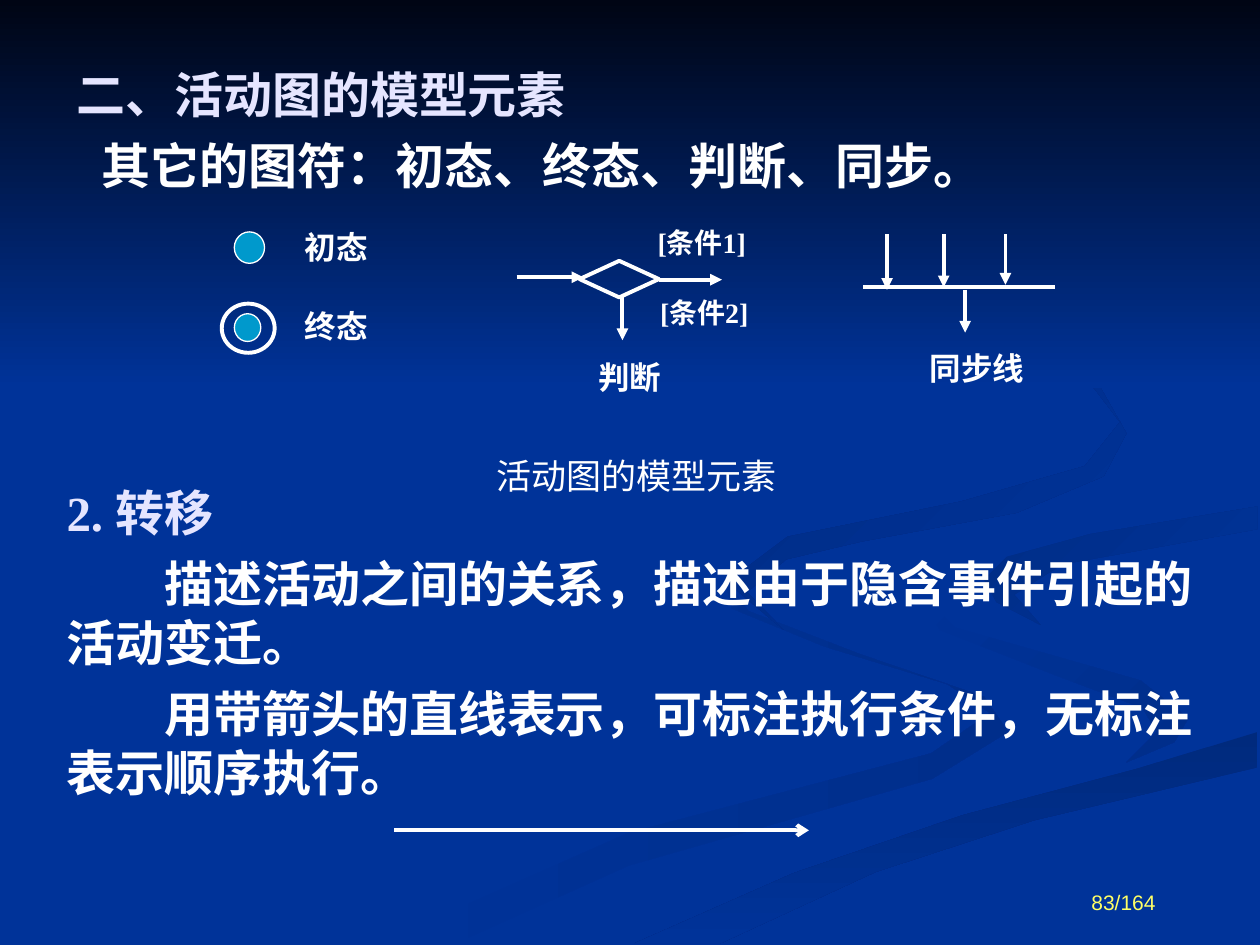
from lxml.etree import SubElement
from pptx import Presentation
from pptx.dml.color import RGBColor
from pptx.enum.shapes import MSO_CONNECTOR, MSO_SHAPE
from pptx.enum.text import MSO_ANCHOR, PP_ALIGN
from pptx.oxml.ns import qn
from pptx.util import Inches, Pt

COLORS = {
    "background": "003399", "night": "000514", "white": "FFFFFF",
    "lavender": "E5E5FF", "cyan": "0099CC", "yellow": "FFFF66",
    "shade_a": "002E8B", "shade_b": "002A7D", "shade_c": "002D86", "shade_d": "002B82",
}

SWOOSHES = [
    ("background", "shade_a", 0, [
        (7.81, 5.53), (6.82, 5.19), (5.94, 4.85), (5.75, 4.59), (5.81, 4.83), (6.54, 5.13),
        (7.52, 5.43), (7.86, 5.66), (7.39, 5.98), (4.99, 6.61), (3, 7.49), (3.61, 7.49),
        (4.99, 6.87), (7.4, 6.18), (8, 5.81)]),
    ("background", "shade_a", 45, [
        (9.43, 5.7), (9.05, 5.4), (7.58, 4.98), (7.24, 4.64), (7.46, 5), (8.38, 5.36),
        (9.07, 5.62), (9.18, 5.81), (8.94, 6.05), (9.32, 5.89)]),
    ("shade_b", "background", 90, [
        (5.03, 7.49), (5.71, 7.49), (6.95, 6.92), (8.21, 6.51), (9.98, 6.09), (9.98, 5.81),
        (9.03, 6.1), (7.64, 6.47), (6.3, 6.93)]),
    ("shade_c", "background", 45, [
        (7.81, 4.6), (7.91, 4.78), (8.26, 4.96), (8.05, 4.72), (8.43, 4.48), (9.98, 4.2),
        (9.98, 4.02), (8.65, 4.24), (7.99, 4.42)]),
    ("shade_d", "background", 45, [
        (6.83, 4.3), (8.07, 4.07), (8.76, 3.78), (8.94, 3.44), (8.64, 2.91), (7.62, 2.33),
        (8.46, 2.79), (8.89, 3.35), (8.61, 3.7), (7.63, 3.98), (6.25, 4.26), (5.77, 4.62),
        (6.22, 5), (5.93, 4.7), (6.24, 4.44)]),
    ("night", "background", 90, [(0, 0), (0, 3.08), (10, 3.08), (10, 0)]),
]

SYMBOLS = [
    (MSO_SHAPE.OVAL, (1.86, 1.84, 0.24, 0.25), "cyan", 0.75),
    (MSO_SHAPE.OVAL, (1.76, 2.41, 0.42, 0.39), None, 2.25),
    (MSO_SHAPE.OVAL, (1.86, 2.49, 0.21, 0.22), "cyan", 0.75),
    (MSO_SHAPE.DIAMOND, (4.6, 2.07, 0.63, 0.29), None, 2.25),
]

LINES = [
    ((4.1, 2.2), (4.63, 2.2), "triangle"),
    ((5.23, 2.22), (5.73, 2.22), "triangle"),
    ((4.94, 2.34), (4.94, 2.7), "triangle"),
    ((6.85, 2.28), (8.37, 2.28), None),
    ((7.04, 1.86), (7.04, 2.3), "triangle"),
    ((7.49, 1.86), (7.49, 2.28), "triangle"),
    ((7.98, 1.86), (7.98, 2.26), "triangle"),
    ((7.66, 2.3), (7.66, 2.64), "triangle"),
    ((3.13, 6.59), (6.42, 6.59), "arrow"),
]

LEFT, CENTER, RIGHT = PP_ALIGN.LEFT, PP_ALIGN.CENTER, PP_ALIGN.RIGHT
LABEL_HEIGHTS = {28: 0.57, 20: 0.44, 18: 0.4, 16: 0.37}
LABELS = [
    ("二、活动图的模型元素", 0.51, 0.46, 8.43, 28, True, "lavender", LEFT),
    ("其它的图符：初态、终态、判断、同步。", 0.71, 1.03, 9.29, 28, True, "white", LEFT),
    ("初态", 2.32, 1.76, 1.14, 18, True, "white", LEFT),
    ("终态", 2.32, 2.39, 0.93, 18, True, "white", LEFT),
    ("[条件1]", 5.12, 1.74, 1.21, 16, True, "white", LEFT),
    ("[条件2]", 5.14, 2.3, 1.14, 16, True, "white", LEFT),
    ("判断", 4.65, 2.79, 1.27, 18, True, "white", LEFT),
    ("同步线", 7.08, 2.72, 1.35, 18, True, "white", CENTER),
    ("活动图的模型元素", 3.19, 3.56, 3.72, 20, False, "white", CENTER),
]

TRANSITION_BOX = (0.43, 3.78, 9.3, 2.63)
TRANSITION_HEADING = "2. 转移"
TRANSITION_BODY = [
    "描述活动之间的关系，描述由于隐含事件引起的活动变迁。",
    "用带箭头的直线表示，可标注执行条件，无标注表示顺序执行。",
]
PAGE_NUMBER = ("83/164", (6.94, 6.79, 2.33, 0.52))


def rgb(name):
    return RGBColor.from_string(COLORS[name])


def add_swoosh(slide, start, end, angle, points):
    corners = [(Inches(x), Inches(y)) for x, y in points]
    builder = slide.shapes.build_freeform(*corners[0], scale=1.0)
    builder.add_line_segments(corners[1:], close=True)
    shape = builder.convert_to_shape()
    shape.shadow.inherit = False
    shape.line.fill.background()
    shape.fill.gradient()
    shape.fill.gradient_angle = (360 - angle) % 360
    for stop, position, color in zip(shape.fill.gradient_stops, (0, 1), (start, end)):
        stop.position = position
        stop.color.rgb = rgb(color)


def add_symbol(slide, kind, box, fill, width):
    shape = slide.shapes.add_shape(kind, *map(Inches, box))
    shape.shadow.inherit = False
    if fill:
        shape.fill.solid()
        shape.fill.fore_color.rgb = rgb(fill)
    else:
        shape.fill.background()
    shape.line.color.rgb = rgb("white")
    shape.line.width = Pt(width)


def add_line(slide, start, end, head):
    connector = slide.shapes.add_connector(MSO_CONNECTOR.STRAIGHT, *map(Inches, start + end))
    connector.line.color.rgb = rgb("white")
    connector.line.width = Pt(2.25)
    properties = connector.element.spPr
    if head:
        SubElement(properties.find(qn("a:ln")), qn("a:tailEnd"), type=head)
    SubElement(properties, qn("a:effectLst"))


def add_box(slide, box):
    frame = slide.shapes.add_textbox(*map(Inches, box)).text_frame
    frame.word_wrap = True
    return frame


def write(paragraph, text, size, bold, color, align=LEFT, font="Times New Roman"):
    paragraph.text = text
    paragraph.alignment = align
    paragraph.font.name = font
    paragraph.font.size = Pt(size)
    paragraph.font.bold = bold
    paragraph.font.color.rgb = rgb(color)


def main():
    presentation = Presentation()
    presentation.slide_width, presentation.slide_height = Inches(10), Inches(7.5)
    slide = presentation.slides.add_slide(presentation.slide_layouts[6])
    slide.background.fill.solid()
    slide.background.fill.fore_color.rgb = rgb("background")

    for swoosh in SWOOSHES:
        add_swoosh(slide, *swoosh)
    for symbol in SYMBOLS:
        add_symbol(slide, *symbol)
    for line in LINES:
        add_line(slide, *line)
    for text, left, top, width, size, *style in LABELS:
        frame = add_box(slide, (left, top, width, LABEL_HEIGHTS[size]))
        write(frame.paragraphs[0], text, size, *style)

    frame = add_box(slide, TRANSITION_BOX)
    write(frame.paragraphs[0], TRANSITION_HEADING, 28, True, "lavender")
    for text in TRANSITION_BODY:
        paragraph = frame.add_paragraph()
        paragraph._p.get_or_add_pPr().set("indent", str(Pt(56)))
        paragraph.space_before = Pt(7)
        write(paragraph, text, 28, True, "white")

    text, box = PAGE_NUMBER
    frame = add_box(slide, box)
    frame.vertical_anchor = MSO_ANCHOR.BOTTOM
    write(frame.paragraphs[0], text, 12, False, "yellow", RIGHT, "Arial")
    presentation.save("out.pptx")


if __name__ == "__main__":
    main()
